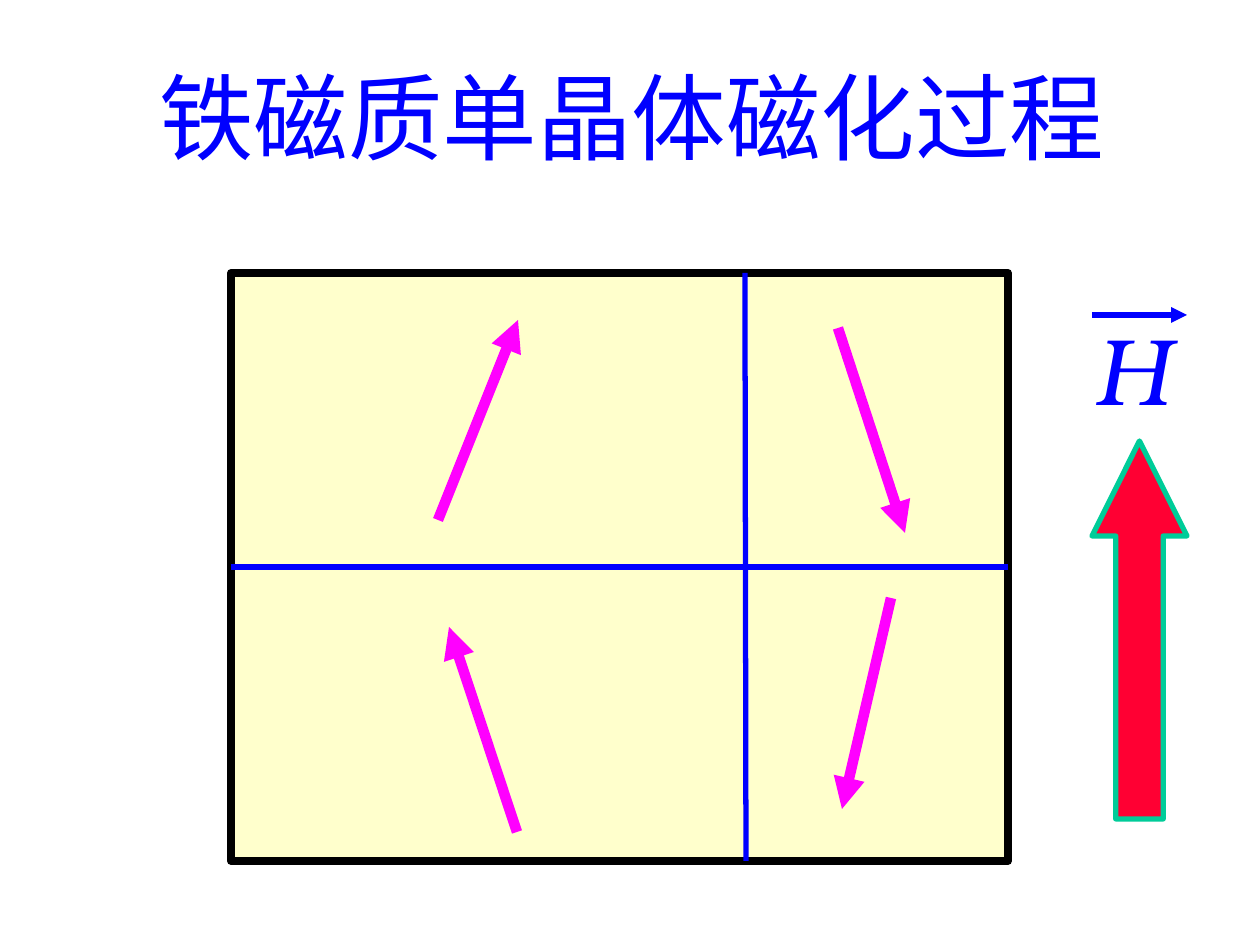
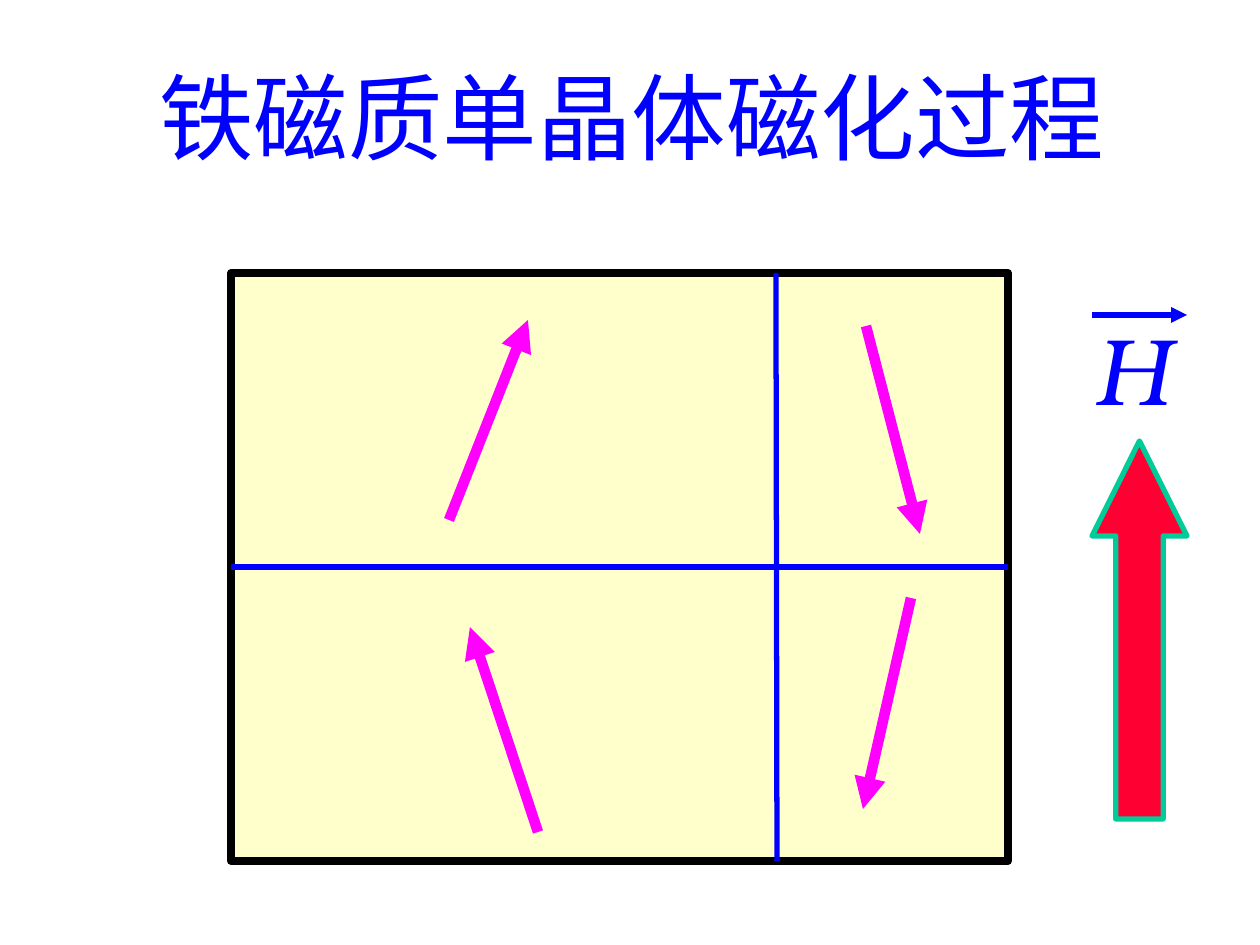
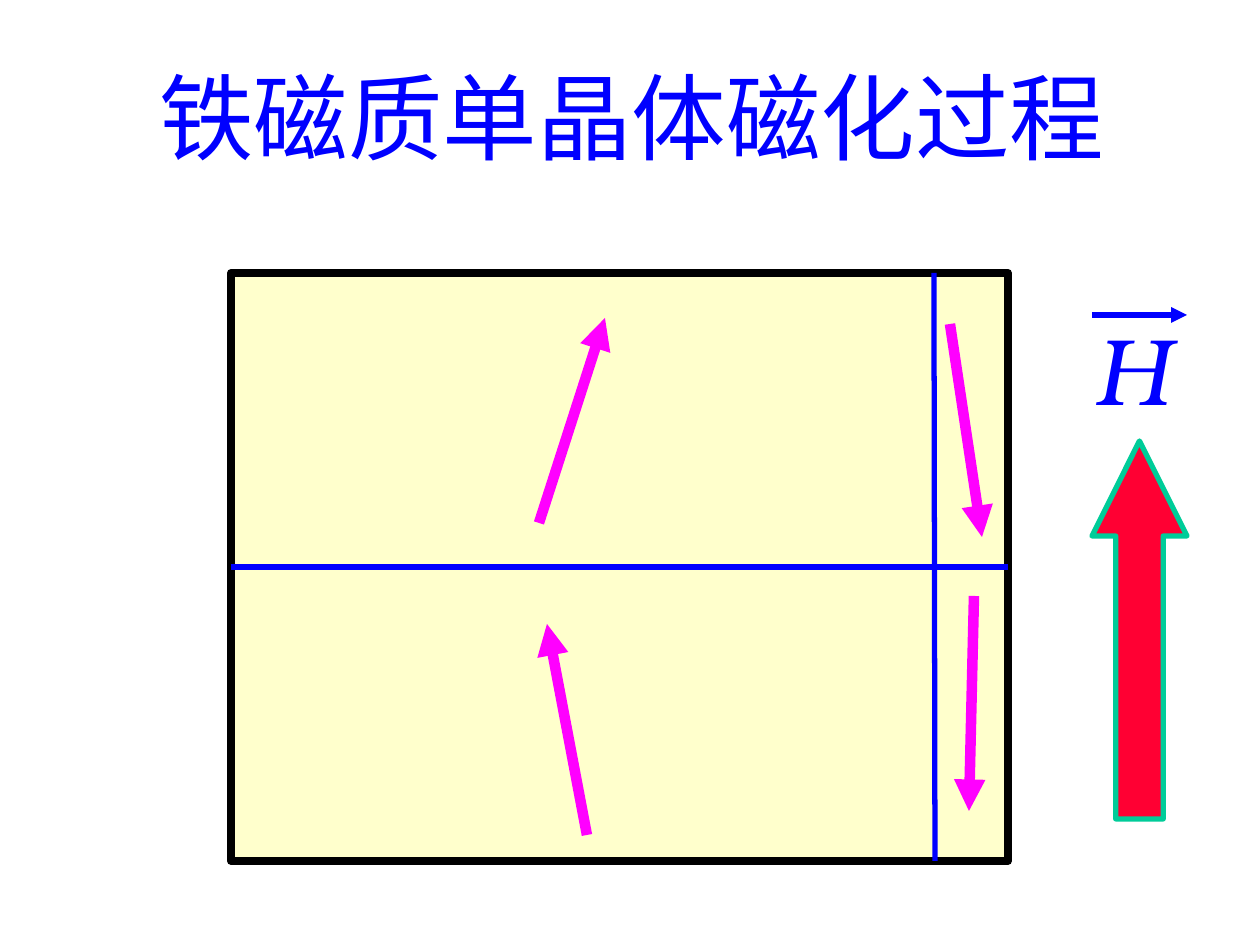
import pptx
import pptx.util
import pptx.dml.color
import pptx.enum.shapes
import pptx.enum.text
import pptx.oxml

TITLE = "铁磁质单晶体磁化过程"
FIELD = "H"

# Each stage: top and bottom x of the upright domain wall,
# then the magnetic moments as (foot x, foot y, tip x, tip y).
STAGES = [
    {"wall": (745, 746),
     "moments": [(438, 520, 518, 320), (838, 328, 905, 533),
                 (517, 832, 449, 627), (891, 598, 842, 809)]},
    {"wall": (776, 777),
     "moments": [(449, 520, 528, 320), (866, 326, 920, 534),
                 (538, 832, 470, 627), (911, 598, 863, 809)]},
    {"wall": (934, 935),
     "moments": [(539, 523, 605, 318), (950, 324, 982, 537),
                 (587, 835, 547, 624), (974, 596, 969, 811)]},
]

THEME = {
    "font": "TeX Gyre Bonum", "size": 54,
    "blue": "0000FF", "cream": "FFFFCC", "black": "000000",
    "pink": "FF00FF", "red": "FF0033", "green": "00CC99",
    "thin": 3, "frame": 4.5, "thick": 6,
}

PX = 914400 // 126
CRYSTAL = (231, 273, 777, 588)
ARROW = (1092, 441, 95, 378)
SHAPES = pptx.enum.shapes.MSO_SHAPE


def scale(*sizes):
    return [size * PX for size in sizes]


def color(name):
    return pptx.dml.color.RGBColor.from_string(THEME[name])


def stroke(line, name, width):
    line.color.rgb = color(name)
    line.width = pptx.util.Pt(THEME[width])


def add_box(slide, kind, place, fill, edge, width):
    box = slide.shapes.add_shape(kind, *scale(*place))
    box.shadow.inherit = False
    box.fill.solid()
    box.fill.fore_color.rgb = color(fill)
    stroke(box.line, edge, width)
    return box


def add_line(slide, ends, name="blue", width="thin", tip=False):
    link = slide.shapes.add_connector(
        pptx.enum.shapes.MSO_CONNECTOR.STRAIGHT, *scale(*ends))
    stroke(link.line, name, width)
    props = link._element.spPr
    if tip:
        pptx.oxml.xmlchemy.OxmlElement
        head = props.find(pptx.oxml.ns.qn("a:ln")).makeelement(
            pptx.oxml.ns.qn("a:tailEnd"), {"type": "triangle"})
        props.find(pptx.oxml.ns.qn("a:ln")).append(head)
    props.append(props.makeelement(pptx.oxml.ns.qn("a:effectLst"), {}))
    return link


def add_text(slide, text, place, italic=False):
    box = slide.shapes.add_textbox(*scale(*place))
    frame = box.text_frame
    frame.word_wrap = False
    frame.auto_size = pptx.enum.text.MSO_AUTO_SIZE.SHAPE_TO_FIT_TEXT
    run = frame.paragraphs[0].add_run()
    run.text = text
    run.font.name = THEME["font"]
    run.font.size = pptx.util.Pt(THEME["size"])
    run.font.italic = italic
    run.font.color.rgb = color("blue")


def draw_crystal(slide, wall, moments):
    left, top, width, height = CRYSTAL
    block = add_box(slide, SHAPES.RECTANGLE, CRYSTAL,
                    "cream", "black", "frame")
    add_line(slide, (wall[0], top, wall[1], top + height))
    middle = top + height // 2
    level = add_line(slide, (left, middle, left + width, middle))
    level.begin_connect(block, 1)
    level.end_connect(block, 3)
    for moment in moments:
        add_line(slide, moment, "pink", "thick", tip=True)


def draw_field(slide):
    """Draw the applied field: a block arrow under its vector symbol."""
    arrow = add_box(slide, SHAPES.UP_ARROW, ARROW, "red", "green", "thin")
    arrow.adjustments[0] = 0.5
    arrow.adjustments[1] = 1
    add_text(slide, FIELD, (1082, 305, 101, 126), italic=True)
    left, width = ARROW[0], ARROW[2]
    add_line(slide, (left, 315, left + width, 315), tip=True)


def main():
    deck = pptx.Presentation()
    deck.slide_width, deck.slide_height = scale(1260, 945)
    for stage in STAGES:
        slide = deck.slides.add_slide(deck.slide_layouts[6])
        draw_crystal(slide, **stage)
        add_text(slide, TITLE, (147, 53, 970, 126))
        draw_field(slide)
    deck.save("out.pptx")


if __name__ == "__main__":
    main()
